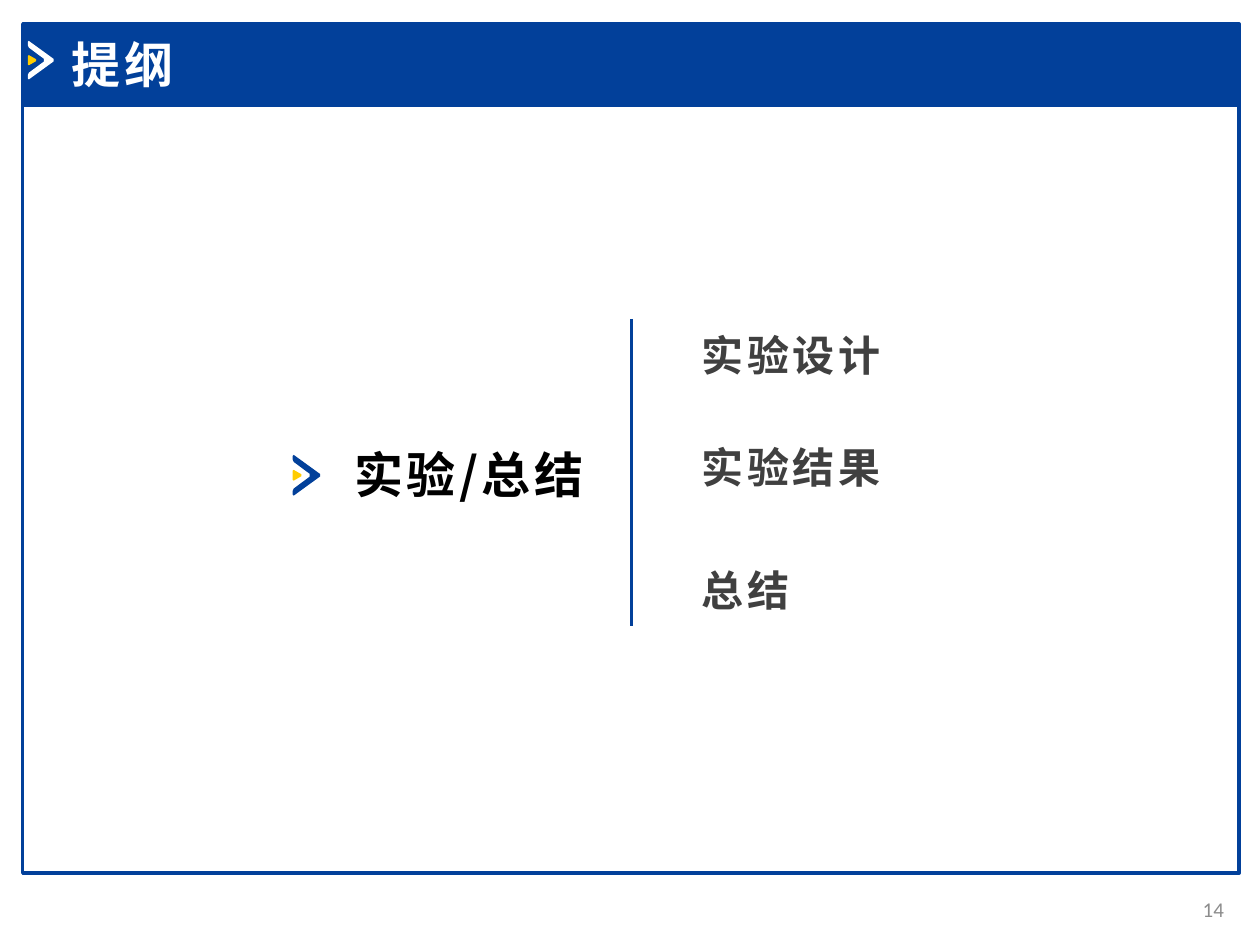
import pptx
import pptx.dml.color
import pptx.enum.shapes
import pptx.enum.text
import pptx.oxml.ns
import pptx.util
from lxml import etree

Pt = pptx.util.Pt
COLORS = {
    "blue": "02409A",
    "yellow": "FFCC00",
    "white": "FFFFFF",
    "black": "000000",
    "dark": "404040",
    "gray": "8C8C8C",
}
CJK = "Noto Sans CJK SC"
CHEVRON_TOP = [(0, 24), (0, 6), (6, 0), (148, 103)]
CHEVRON_INNER = [(92, 102), (6, 38)]
ARROWHEAD_TOP = [(0, 86), (6, 81), (48, 105)]
MARK_HEIGHT = 220


class OutlineSlide:
    """Hold the outline style and the slide being drawn."""

    def __init__(self, page):
        self.page = page
        self.shapes = page.shapes

    def color(self, name):
        return pptx.dml.color.RGBColor.from_string(COLORS[name])

    def fill(self, shape, name):
        shape.fill.solid()
        shape.fill.fore_color.rgb = self.color(name)

    def rectangle(self, left, top, width, height, fill=None):
        kind = pptx.enum.shapes.MSO_SHAPE.RECTANGLE
        shape = self.shapes.add_shape(kind, Pt(left), Pt(top), Pt(width), Pt(height))
        shape.shadow.inherit = False
        if fill:
            self.fill(shape, fill)
        else:
            shape.fill.background()
        shape.line.color.rgb = self.color("blue")
        shape.line.width = Pt(2)

    def outline(self, left, top, points, fill, scale):
        builder = self.shapes.build_freeform(*points[0], scale=Pt(1) * scale / 10)
        builder.add_line_segments(points[1:], close=True)
        shape = builder.convert_to_shape(Pt(left), Pt(top))
        shape.shadow.inherit = False
        self.fill(shape, fill)
        shape.line.fill.background()

    def marker(self, left, top, fill, scale=1):
        def mirror(points):
            return [(x, MARK_HEIGHT - y) for x, y in reversed(points)]

        chevron = CHEVRON_TOP + mirror(CHEVRON_TOP) + mirror(CHEVRON_INNER[::-1]) + CHEVRON_INNER[::1]
        arrowhead = ARROWHEAD_TOP + mirror(ARROWHEAD_TOP)
        chevron = CHEVRON_TOP + mirror(CHEVRON_TOP + CHEVRON_INNER[::-1][:0])
        chevron += mirror(CHEVRON_INNER) + CHEVRON_INNER
        self.outline(left, top, chevron, fill, scale)
        self.outline(left, top, arrowhead, "yellow", scale)

    def text(self, left, top, width, height, words, size, color, font=CJK, heading=True):
        box = self.shapes.add_textbox(Pt(left), Pt(top), Pt(width), Pt(height))
        frame = box.text_frame
        frame.word_wrap = True
        frame.text = words
        para = frame.paragraphs[0]
        span = para.runs[0]
        span.font.name = font
        span.font.size = Pt(size)
        span.font.color.rgb = self.color(color)
        if heading:
            span.font.bold = True
            properties = span.font._element
            properties.set("spc", "200")
            east_asian = etree.SubElement(properties, pptx.oxml.ns.qn("a:ea"))
            east_asian.set("typeface", CJK)
        else:
            frame.vertical_anchor = pptx.enum.text.MSO_ANCHOR.MIDDLE
            para.alignment = pptx.enum.text.PP_ALIGN.RIGHT

    def line(self, left, top, right, bottom):
        kind = pptx.enum.shapes.MSO_CONNECTOR.STRAIGHT
        line = self.shapes.add_connector(kind, Pt(left), Pt(top), Pt(right), Pt(bottom))
        line.line.color.rgb = self.color("blue")
        line.line.width = Pt(1.5)
        etree.SubElement(line._element.spPr, pptx.oxml.ns.qn("a:effectLst"))


def main():
    deck = pptx.Presentation()
    deck.slide_width, deck.slide_height = Pt(720), Pt(540)
    slide = OutlineSlide(deck.slides.add_slide(deck.slide_layouts[6]))

    slide.rectangle(13, 60, 695, 439)
    slide.rectangle(13, 13.6, 695, 46.4, "blue")
    slide.marker(15.9, 23.4, "white")
    slide.text(34, 16, 256, 41, "提纲", 28, "white", font="Calibri")

    slide.marker(167.2, 259.9, "blue", scale=1.06)
    slide.text(195.4, 250.6, 154.8, 41, "实验/总结", 28, "black")
    slide.line(361, 182.2, 361, 358)
    topics = [("实验设计", 185), ("实验结果", 249), ("总结", 319)]
    for topic, top in topics:
        slide.text(394, top, 200, 36, topic, 24, "dark")

    slide.text(664, 505, 42.5, 28.8, "14", 12, "gray", font="Calibri", heading=False)
    deck.save("out.pptx")


if __name__ == "__main__":
    main()
